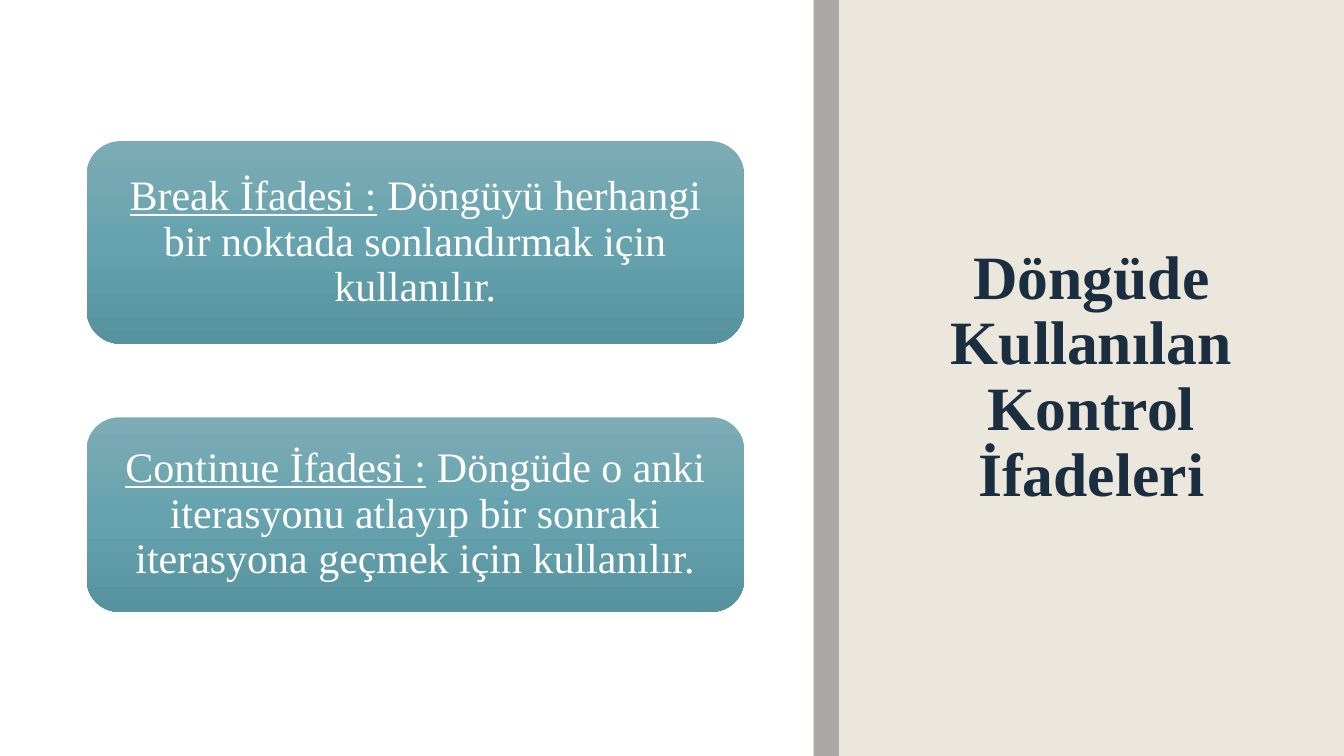
from copy import deepcopy

from lxml import etree
from pptx import Presentation
from pptx import util as u
from pptx.dml.color import RGBColor
from pptx.enum import shapes, text
from pptx.oxml.ns import qn

COLORS = {
    "navy": "1A2E40",
    "beige": "EBE7DD",
    "white": "FFFFFF",
    "gray": "808080",
}
CARD_GRADIENT = [(0, "7DACB5"), (0.5, "66A3AE"), (1, "57939E")]
FONT = "Times New Roman"
WIDTH, HEIGHT = 13.33, 7.5
CONTENT_WIDTH, STRIP_WIDTH = 8.07, 0.25
TITLE = "Döngüde Kullanılan Kontrol İfadeleri"
# term, explanation, top, height
STATEMENTS = [
    ("Break İfadesi :",
     " Döngüyü herhangi bir noktada sonlandırmak için kullanılır.", 1.4, 2.01),
    ("Continue İfadesi :",
     " Döngüde o anki iterasyonu atlayıp bir sonraki iterasyona geçmek için kullanılır.",
     4.14, 1.93),
]


def rgb(value):
    return RGBColor.from_string(value)


def add_plain_shape(slide, kind, box):
    shape = slide.shapes.add_shape(kind, *map(u.Inches, box))
    shape.shadow.inherit = False
    shape.line.fill.background()
    return shape


def add_panel(slide, box, color, opacity=1):
    panel = add_plain_shape(slide, shapes.MSO_SHAPE.RECTANGLE, box)
    panel.fill.solid()
    panel.fill.fore_color.rgb = rgb(color)
    if opacity < 1:
        color_element = panel._element.spPr.find(".//" + qn("a:srgbClr"))
        alpha = etree.SubElement(color_element, qn("a:alpha"))
        alpha.set("val", str(round(opacity * 100000)))


def fill_with_gradient(shape, stops):
    """Fill from top to bottom with any number of (position, color) stops."""
    fill = shape.fill
    fill.gradient()
    fill.gradient_angle = 270
    stop_list = shape._element.spPr.find(".//" + qn("a:gsLst"))
    while len(stop_list) < len(stops):
        stop_list.append(deepcopy(stop_list[0]))
    for stop, (position, color) in zip(fill.gradient_stops, stops):
        stop.position = position
        stop.color.rgb = rgb(color)


def format_run(run, size, color):
    run.font.name = FONT
    run.font.size = u.Pt(size)
    run.font.color.rgb = rgb(color)


def center_text(text_frame, margin, line_spacing):
    text_frame.word_wrap = True
    text_frame.auto_size = text.MSO_AUTO_SIZE.NONE
    text_frame.vertical_anchor = text.MSO_ANCHOR.MIDDLE
    text_frame.margin_left = text_frame.margin_right = u.Inches(margin)
    text_frame.margin_top = text_frame.margin_bottom = u.Inches(margin)
    paragraph = text_frame.paragraphs[0]
    paragraph.alignment = text.PP_ALIGN.CENTER
    paragraph.line_spacing = line_spacing
    return paragraph


def add_statement_card(slide, box, term, explanation):
    card = add_plain_shape(slide, shapes.MSO_SHAPE.ROUNDED_RECTANGLE, box)
    fill_with_gradient(card, CARD_GRADIENT)
    paragraph = center_text(card.text_frame, 0.22, 0.9)
    for words, underlined in ((term, True), (explanation, False)):
        run = paragraph.add_run()
        run.text = words
        run.font.underline = underlined
        format_run(run, 30, COLORS["white"])


def add_content_region(slide, box):
    left, top, width, height = box
    add_panel(slide, box, COLORS["white"])
    add_panel(slide, (left + width, top, STRIP_WIDTH, height), COLORS["gray"], 0.6)
    for term, explanation, offset, card_height in STATEMENTS:
        card_box = (left + 0.86, top + offset, 6.52, card_height)
        add_statement_card(slide, card_box, term, explanation)


def place_title(slide, box):
    title = slide.shapes.title
    title.left, title.top, title.width, title.height = map(u.Inches, box)
    title.text_frame.text = TITLE
    paragraph = center_text(title.text_frame, 0.1, 0.89)
    run = paragraph.runs[0]
    run.font.bold = True
    format_run(run, 44, COLORS["navy"])
    # Bring the title in front of the background panel.
    slide.shapes._spTree.append(title._element)


def main():
    presentation = Presentation()
    presentation.slide_width = u.Inches(WIDTH)
    presentation.slide_height = u.Inches(HEIGHT)
    slide = presentation.slides.add_slide(presentation.slide_layouts[5])
    add_panel(slide, (0, 0, WIDTH, HEIGHT), COLORS["beige"])
    place_title(slide, (9.02, 0.7, 3.61, 6.1))
    add_content_region(slide, (0, 0, CONTENT_WIDTH, HEIGHT))
    presentation.save("out.pptx")


if __name__ == "__main__":
    main()
